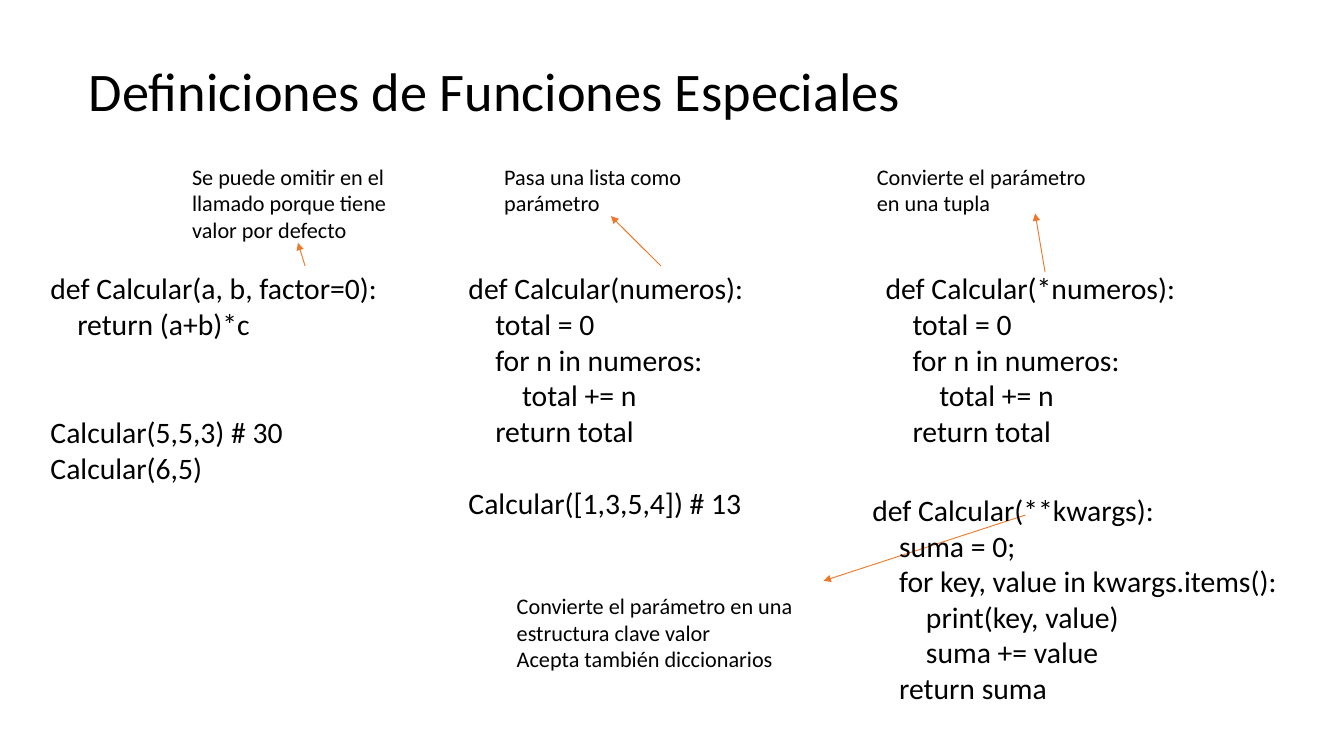
from lxml import etree
from pptx import Presentation
from pptx.dml.color import RGBColor
from pptx.enum.shapes import MSO_CONNECTOR
from pptx.enum.text import MSO_ANCHOR, MSO_AUTO_SIZE, PP_ALIGN
from pptx.oxml.ns import qn
from pptx.util import Pt

STRAIGHT = MSO_CONNECTOR.STRAIGHT
TOP = MSO_ANCHOR.TOP
LEFT = PP_ALIGN.LEFT
NO_FIT = MSO_AUTO_SIZE.NONE
GROW = MSO_AUTO_SIZE.SHAPE_TO_FIT_TEXT

BLACK = RGBColor(0x00, 0x00, 0x00)
ORANGE = RGBColor(0xEC, 0x79, 0x2B)
FONT = "Calibri"
CODE_LINE = 29.3
CODE_TOP = 215.3
NOTE_TOP = 131.8
NOTE_WIDTH = 172.8

DEFAULT_CODE = """def Calcular(a, b, factor=0):
    return (a+b)*c"""
DEFAULT_CALLS = """Calcular(5,5,3) # 30
Calcular(6,5)"""
LIST_CODE = """def Calcular(numeros):
    total = 0
    for n in numeros:
        total += n
    return total"""
LIST_CALL = "Calcular([1,3,5,4]) # 13"
TUPLE_CODE = LIST_CODE.replace("(numeros)", "(*numeros)")
KWARGS_CODE = """def Calcular(**kwargs):
    suma = 0;
    for key, value in kwargs.items():
        print(key, value)
        suma += value
    return suma"""


def write_text(frame, text, size, inset=(0, 0), wrap=True, fit=GROW):
    """Fill a text frame with one paragraph per line of text."""
    frame.margin_left = frame.margin_right = Pt(inset[0])
    frame.margin_top = frame.margin_bottom = Pt(inset[1])
    frame.vertical_anchor = TOP
    frame.text = text
    frame.word_wrap = wrap
    frame.auto_size = fit
    for para in frame.paragraphs:
        para.alignment = LEFT
        para.space_before = Pt(0)
        para.font.name = FONT
        para.font.size = Pt(size)
        para.font.color.rgb = BLACK


def place(shape, left, top, width, height):
    """Set the position and size of a shape in points."""
    shape.left, shape.top = Pt(left), Pt(top)
    shape.width, shape.height = Pt(width), Pt(height)


def add_title(page, text):
    """Format the title placeholder."""
    place(page.shapes.title, 72, 46, 665, 53)
    write_text(page.shapes.title.text_frame, text, 44, wrap=False, fit=NO_FIT)


def add_note(page, text, left, height, top=NOTE_TOP, width=NOTE_WIDTH):
    """Add an explanatory note without margins."""
    box = page.shapes.add_textbox(Pt(left), Pt(top), Pt(width), Pt(height))
    write_text(box.text_frame, text, 18)


def add_code(page, code, left, width, height, top=CODE_TOP, calls="", gap_lines=0):
    """Add a function definition and, below a gap, its calls."""
    box = page.shapes.add_textbox(Pt(left), Pt(top), Pt(width), Pt(height))
    text = f"{code}\n{calls}" if calls else code
    write_text(box.text_frame, text, 24, inset=(7.2, 3.6))
    if calls:
        first_call = box.text_frame.paragraphs[len(code.splitlines())]
        first_call.space_before = Pt(gap_lines * CODE_LINE)


def add_arrow(page, start, end):
    """Add a thin arrow that points at its end."""
    arrow = page.shapes.add_connector(STRAIGHT, *map(Pt, start + end))
    arrow.line.color.rgb = ORANGE
    arrow.line.width = Pt(0.75)
    etree.SubElement(arrow.line._get_or_add_ln(), qn("a:tailEnd"), type="triangle")
    etree.SubElement(arrow._element.spPr, qn("a:effectLst"))


def main():
    """Build the slide and save it."""
    deck = Presentation()
    deck.slide_width, deck.slide_height = Pt(1088), Pt(612)
    page = deck.slides.add_slide(deck.slide_layouts[5])
    add_title(page, "Definiciones de Funciones Especiales")

    add_code(page, DEFAULT_CODE, 33.8, 349, 181, calls=DEFAULT_CALLS, gap_lines=2)
    add_note(page, "Se puede omitir en el llamado porque tiene valor por defecto", 155.5, 65.5)
    add_arrow(page, (247, 215.3), (241.2, 196.6))

    add_code(page, LIST_CODE, 372.2, 308, 211, calls=LIST_CALL, gap_lines=1)
    add_note(page, "Pasa una lista como parámetro", 408.2, 44)
    add_arrow(page, (535, 215.3), (494.6, 175))

    add_code(page, TUPLE_CODE, 709.9, 345, 152.6)
    add_note(page, "Convierte el parámetro en una tupla", 709.9, 44)
    add_arrow(page, (846, 220.3), (838, 172.8))

    add_arrow(page, (830.2, 416.9), (666.7, 470.2))
    add_code(page, KWARGS_CODE, 699.1, 381.6, 181, top=394.6)
    add_note(
        page,
        "Convierte el parámetro en una estructura clave valor\nAcepta también diccionarios",
        418.3, 65.5, top=479.5, width=289.4,
    )
    deck.save("out.pptx")


if __name__ == "__main__":
    main()
